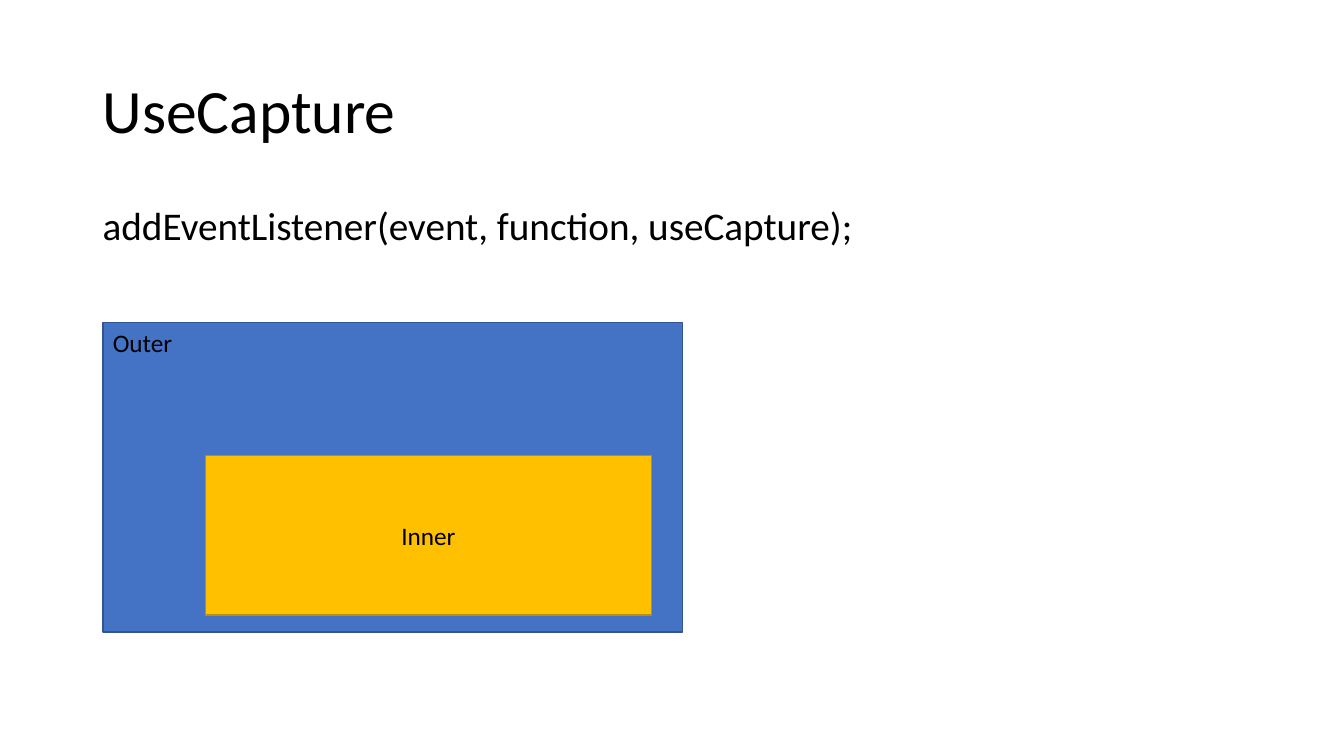
"""Build the UseCapture slide with its nested event boxes."""
from dataclasses import dataclass
from typing import Optional

from pptx import Presentation
from pptx.dml.color import RGBColor
from pptx.enum import shapes, text
from pptx.util import Inches, Pt

BLACK = RGBColor(0x00, 0x00, 0x00)
BLUE = RGBColor(0x44, 0x72, 0xC4)
DARK_BLUE = RGBColor(0x32, 0x54, 0x91)
GOLD = RGBColor(0xFF, 0xC0, 0x00)
DARK_GOLD = RGBColor(0xBD, 0x8E, 0x00)
TOP, MIDDLE = text.MSO_ANCHOR.TOP, text.MSO_ANCHOR.MIDDLE
LEFT, CENTER = text.PP_ALIGN.LEFT, text.PP_ALIGN.CENTER


@dataclass(frozen=True)
class Block:
    """A text block, drawn as a rectangle when it has a fill."""
    words: str
    left: float
    top: float
    width: float
    height: float
    size: int = 18
    anchor: text.MSO_ANCHOR = TOP
    alignment: text.PP_ALIGN = LEFT
    line_spacing: float = 1.0
    space_before: int = 0
    fill: Optional[RGBColor] = None
    outline: Optional[RGBColor] = None


BLOCKS = (
    Block("UseCapture", 0.92, 0.4, 11.5, 1.45, size=44, anchor=MIDDLE, line_spacing=0.9),
    Block("addEventListener(event, function, useCapture);", 0.92, 2, 7.71, 1.06,
          size=28, line_spacing=0.9, space_before=10),
    Block("Outer", 1.02, 3.2, 5.75, 3.07, fill=BLUE, outline=DARK_BLUE),
    Block("Inner", 2.04, 4.52, 4.42, 1.58, anchor=MIDDLE, alignment=CENTER,
          fill=GOLD, outline=DARK_GOLD),
)


def set_format(target: object, values: dict) -> None:
    """Set each named attribute on the target."""
    for name, value in values.items():
        setattr(target, name, value)


def draw_block(slide, block: Block) -> None:
    """Draw one block with its text."""
    bounds = [Inches(v) for v in (block.left, block.top, block.width, block.height)]
    if block.fill is None:
        shape = slide.shapes.add_textbox(*bounds)
    else:
        shape = slide.shapes.add_shape(shapes.MSO_SHAPE.RECTANGLE, *bounds)
        shape.shadow.inherit = False
        shape.fill.solid()
        shape.fill.fore_color.rgb = block.fill
        shape.line.color.rgb = block.outline
        shape.line.width = Pt(1)
    frame = shape.text_frame
    set_format(frame, {"word_wrap": True, "vertical_anchor": block.anchor})
    paragraph = frame.paragraphs[0]
    set_format(paragraph, {"text": block.words, "alignment": block.alignment,
                           "line_spacing": block.line_spacing,
                           "space_before": Pt(block.space_before)})
    font = paragraph.runs[0].font
    set_format(font, {"name": "Calibri", "size": Pt(block.size)})
    font.color.rgb = BLACK


def main() -> None:
    """Create and save the presentation."""
    presentation = Presentation()
    set_format(presentation, {"slide_width": Inches(13.33), "slide_height": Inches(7.5)})
    slide = presentation.slides.add_slide(presentation.slide_layouts[6])
    for block in BLOCKS:
        draw_block(slide, block)
    presentation.save("out.pptx")


main()
